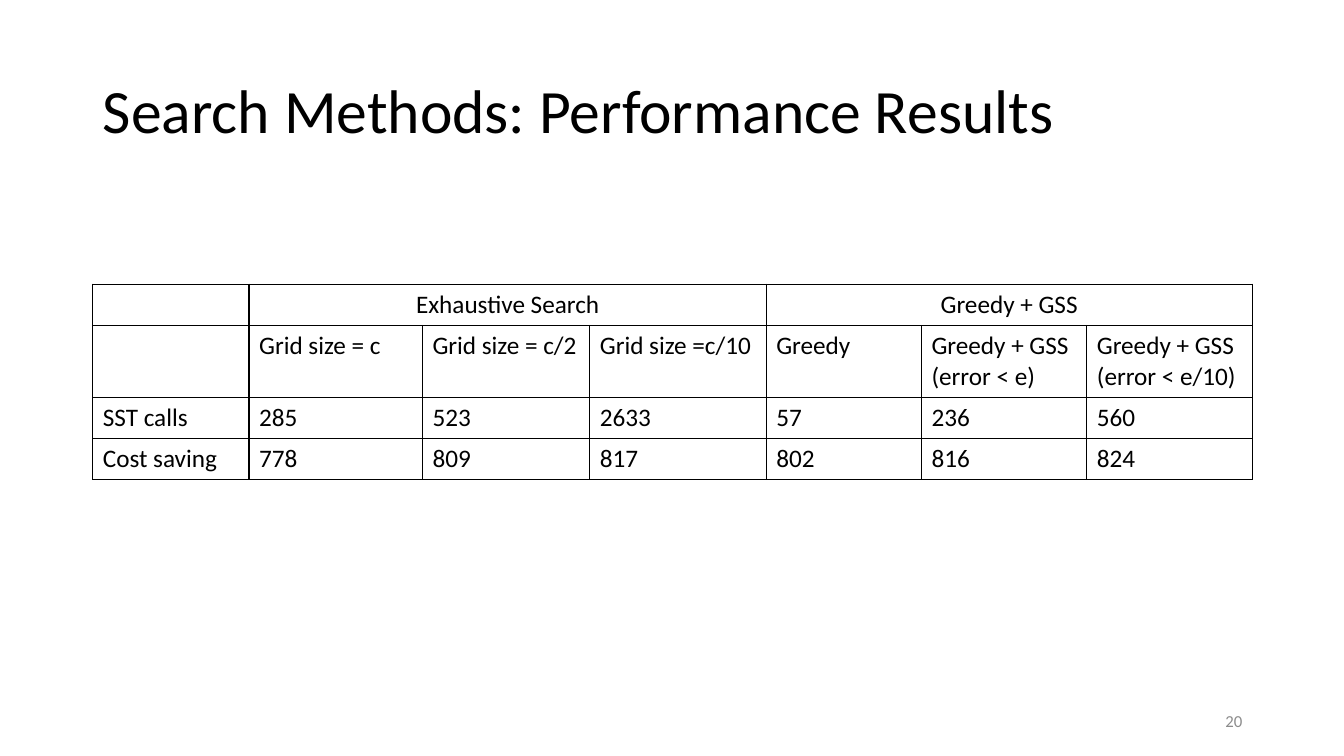
from lxml.etree import SubElement
from pptx import Presentation
from pptx.dml.color import RGBColor as RGB
from pptx.enum.text import MSO_ANCHOR as ANCHOR, PP_ALIGN as ALIGN
from pptx.oxml.ns import qn
from pptx.util import Inches, Pt

TITLE = "Search Methods: Performance Results"
PAGE = "20"
ROWS = [
    ["", "Exhaustive Search", "", "", "Greedy + GSS", "", ""],
    ["", "Grid size = c", "Grid size = c/2", "Grid size =c/10", "Greedy",
     "Greedy + GSS\n(error < e)", "Greedy + GSS\n(error < e/10)"],
    ["SST calls", "285", "523", "2633", "57", "236", "560"],
    ["Cost saving", "778", "809", "817", "802", "816", "824"],
]
GROUP_STARTS, GROUP_SIZE = (1, 4), 3
COL_WIDTHS = [1.55, 1.72, 1.66, 1.75, 1.54, 1.64, 1.64]
ROW_HEIGHTS = [0.41, 0.71, 0.41, 0.41]
LEFT, WIDTH = 0.92, 11.5

THEME = {
    "title": {"name": "Calibri", "size": Pt(44), "color": "000000"},
    "table": {"name": "Calibri", "size": Pt(18), "color": "000000"},
    "page": {"name": "Calibri", "size": Pt(12), "color": "8C8C8C"},
    "border": {"color": "000000", "width": Pt(1)},
}


def box(*lengths):
    return [Inches(n) for n in lengths]


def write(tf, text, style, align=ALIGN.LEFT):
    tf.text = text
    for p in tf.paragraphs:
        p.alignment = align
        for key, value in THEME[style].items():
            if key == "color":
                p.font.color.rgb = RGB.from_string(value)
            else:
                setattr(p.font, key, value)


def add_borders(cell):
    """Draw all four edges; the lines must precede the fill in tcPr."""
    props = cell._tc.get_or_add_tcPr()
    for edge in ("a:lnL", "a:lnR", "a:lnT", "a:lnB"):
        line = SubElement(props, qn(edge), w=str(THEME["border"]["width"]))
        fill = SubElement(line, qn("a:solidFill"))
        SubElement(fill, qn("a:srgbClr"), val=THEME["border"]["color"])


def add_title(slide):
    sp = slide.shapes.title
    sp.left, sp.top, sp.width, sp.height = box(LEFT, 0.4, WIDTH, 1.45)
    write(sp.text_frame, TITLE, "title")
    sp.text_frame.vertical_anchor = ANCHOR.MIDDLE
    sp.text_frame.paragraphs[0].line_spacing = 0.9


def add_results(slide):
    frame = slide.shapes.add_table(
        len(ROWS), len(COL_WIDTHS), *box(LEFT, 2.82, WIDTH, sum(ROW_HEIGHTS)))
    table = frame.table
    table.first_row = table.horz_banding = False
    for column, width in zip(table.columns, COL_WIDTHS):
        column.width = Inches(width)
    for row, height in zip(table.rows, ROW_HEIGHTS):
        row.height = Inches(height)
    for r, values in enumerate(ROWS):
        for c, value in enumerate(values):
            cell = table.cell(r, c)
            write(cell.text_frame, value, "table",
                  ALIGN.CENTER if r == 0 else ALIGN.LEFT)
            add_borders(cell)
            cell.fill.background()
    for start in GROUP_STARTS:
        table.cell(0, start).merge(table.cell(0, start + GROUP_SIZE - 1))


def add_page_number(slide):
    tf = slide.shapes.add_textbox(*box(9.42, 6.95, 3, 0.4)).text_frame
    tf.word_wrap = True
    tf.vertical_anchor = ANCHOR.MIDDLE
    write(tf, PAGE, "page", ALIGN.RIGHT)


def main():
    prs = Presentation()
    prs.slide_width, prs.slide_height = box(13.33, 7.5)
    slide = prs.slides.add_slide(prs.slide_layouts.get_by_name("Title Only"))
    add_title(slide)
    add_results(slide)
    add_page_number(slide)
    prs.save("out.pptx")


if __name__ == "__main__":
    main()
